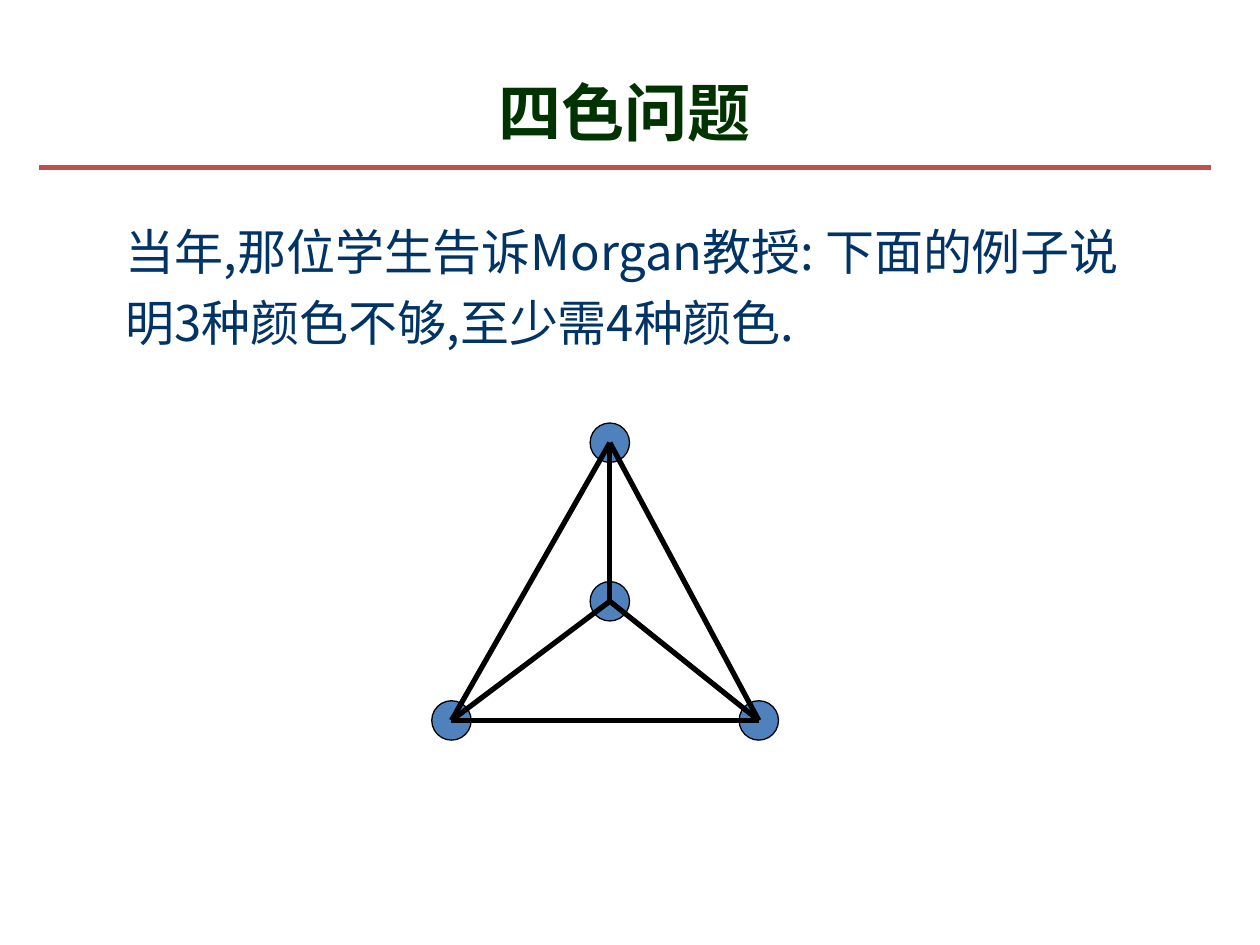
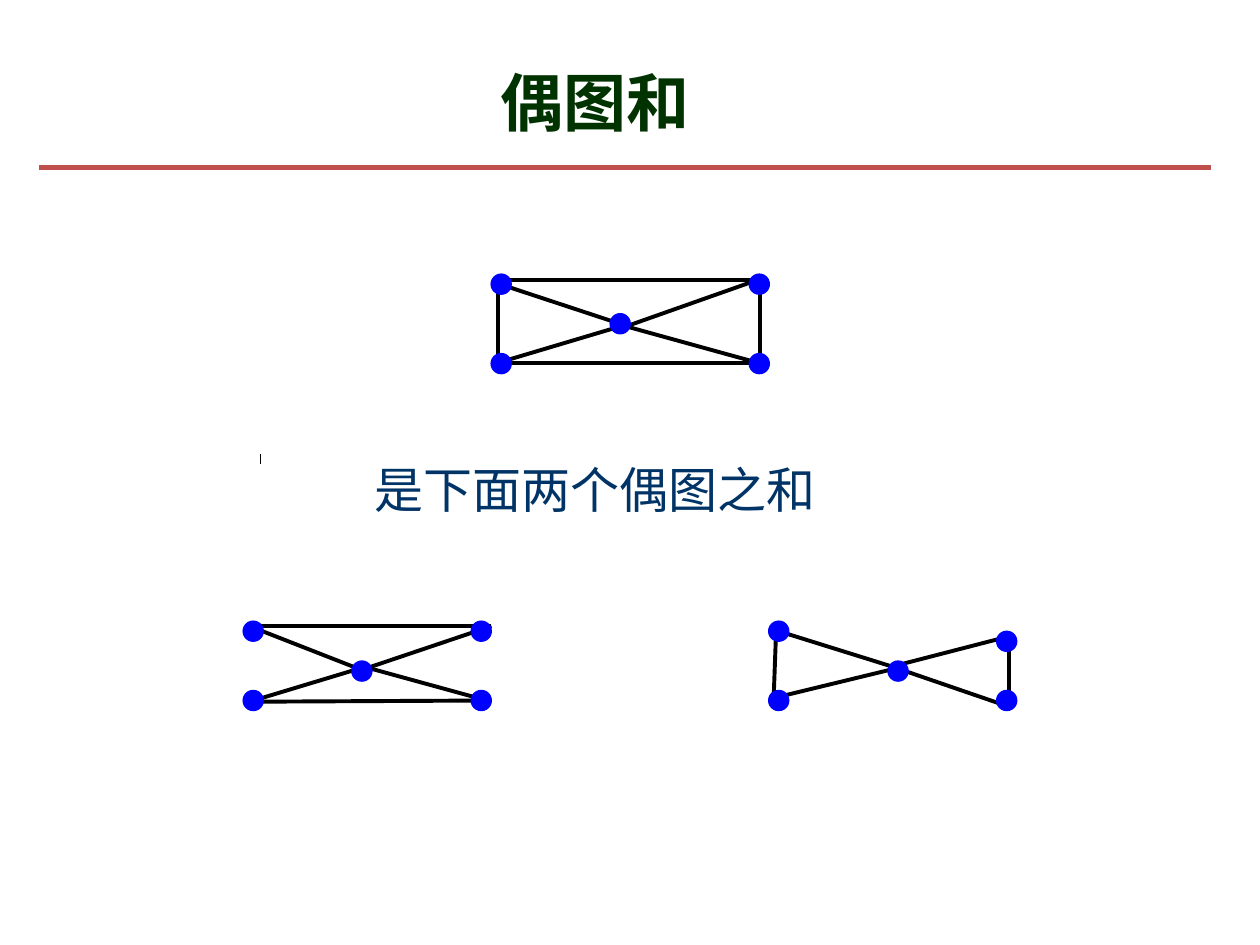
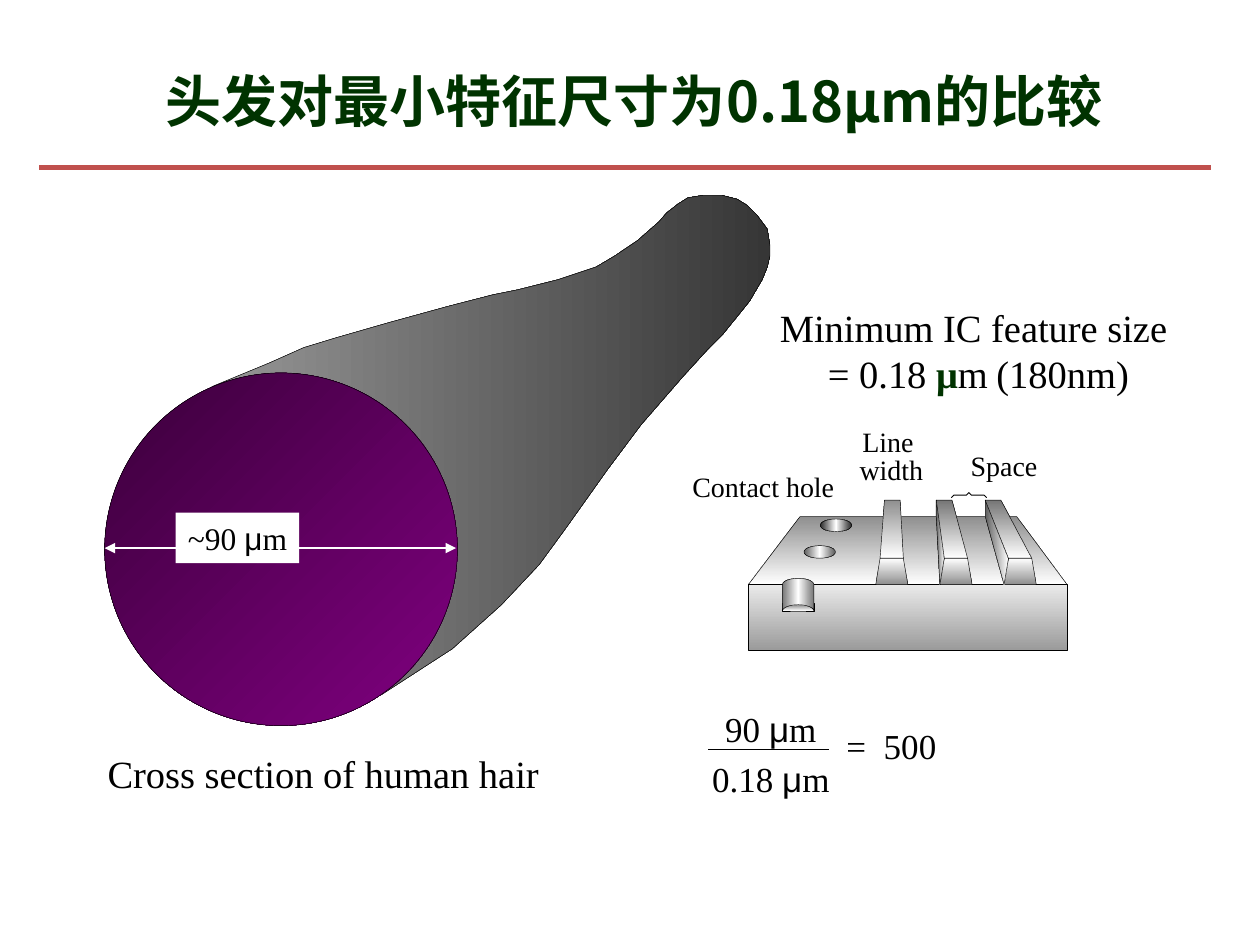
"""Build three slides: a four-colour graph, a sum of bipartite graphs, a hair next to chip features."""
import itertools
import math

import lxml.etree
import pptx
import pptx.dml.color
import pptx.enum.shapes
import pptx.enum.text
import pptx.oxml.ns
import pptx.util

Pt = pptx.util.Pt
qn = pptx.oxml.ns.qn
ALIGN = pptx.enum.text.PP_ALIGN
ANCHOR = pptx.enum.text.MSO_ANCHOR
SHAPE = pptx.enum.shapes.MSO_SHAPE

INK = {
    "title": "003300", "body": "003366", "rule": "C0504D", "black": "000000",
    "white": "FFFFFF", "node": "4F81BD", "dot": "0000FF",
    "pale": "EAEAEA", "ash": "9B9B9B", "light": "969696", "coal": "363636",
    "grey": "8F8F8F", "mid": "767676", "dark": "5C5C5C", "deep": "282828",
    "plum": "3B003B", "purple": "800080",
}
CJK, TIMES, ARIAL = "Noto Sans CJK SC", "Times New Roman", "Arial"
DOWN, SLANT, ACROSS = 90, 45, 0

HAIR = [
    (121, 221), (154, 207.4), (173.5, 198.7), (192.2, 193), (222.5, 184.3),
    (256.3, 175), (281.5, 168.5), (296, 165.6), (319, 159.8), (340.6, 152.6),
    (351.4, 146.2), (364.3, 137.5), (376.6, 126.7), (380.9, 121.7),
    (387.4, 116.6), (393.1, 113), (401.8, 111.6), (412.6, 111.6),
    (421.2, 113.8), (427, 117.4), (432.7, 123.1), (438.5, 131), (440, 140.4),
    (440, 146.2), (438.5, 152.6), (435.6, 159.8), (428.4, 172.1),
    (413.3, 190.8), (404, 200.2), (390.2, 215.3), (366.5, 242.6),
    (347, 268.6), (324, 301), (308.2, 322.6), (286.6, 345.6),
    (258.5, 370.8), (217.4, 397.4),
]
BRACE = [(543.6, 284.4), (545, 283), (552.2, 283), (553.7, 281.5),
         (555.1, 283), (562.3, 283), (563.8, 284.4)]


def paint(name):
    """Return the named colour."""
    return pptx.dml.color.RGBColor.from_string(INK[name])


def shade(shape, tones, angle):
    """Fill a shape with evenly spaced gradient tones."""
    shape.fill.gradient()
    shape.fill.gradient_angle = -angle % 360
    stops = shape._element.spPr.find(".//" + qn("a:gsLst"))
    for stop in list(stops):
        stops.remove(stop)
    for i, tone in enumerate(tones):
        share = round(100000 * i / (len(tones) - 1))
        stop = lxml.etree.SubElement(stops, qn("a:gs"), pos=str(share))
        lxml.etree.SubElement(stop, qn("a:srgbClr"), val=INK[tone])


def style(shape, fill=None, edge="black", width=0.25, angle=DOWN):
    """Set fill (one colour, a list of tones, or none) and outline."""
    shape.shadow.inherit = False
    if fill is None:
        shape.fill.background()
    elif isinstance(fill, str):
        shape.fill.solid()
        shape.fill.fore_color.rgb = paint(fill)
    else:
        shade(shape, fill, angle)
    if edge is None:
        shape.line.fill.background()
    else:
        shape.line.color.rgb = paint(edge)
        shape.line.width = Pt(width)


def draw(slide, kind, box, **look):
    """Add a preset shape."""
    shape = slide.shapes.add_shape(kind, *map(Pt, box))
    style(shape, **look)
    return shape


def trace(slide, points, close=True, **look):
    """Add an outline through the points."""
    spots = [(Pt(x), Pt(y)) for x, y in points]
    pen = slide.shapes.build_freeform(*spots[0])
    pen.add_line_segments(spots[1:], close=close)
    style(pen.convert_to_shape(), **look)


def line(slide, ends, width, tone="black", arrows=False):
    """Add a straight line, with arrowheads at both ends if asked."""
    kind = pptx.enum.shapes.MSO_CONNECTOR.STRAIGHT
    link = slide.shapes.add_connector(kind, *map(Pt, ends))
    link.line.color.rgb = paint(tone)
    link.line.width = Pt(width)
    props = link._element.spPr
    if arrows:
        for tag in ("a:headEnd", "a:tailEnd"):
            lxml.etree.SubElement(props.find(qn("a:ln")), qn(tag), type="triangle")
    lxml.etree.SubElement(props, qn("a:effectLst"))


def write(shape, rows, align=ALIGN.LEFT, wrap=False, anchor=ANCHOR.TOP,
          space=None, after=None):
    """Put rows of (text, size, font, colour, bold) runs into a shape."""
    frame = shape.text_frame
    frame.word_wrap = wrap
    frame.vertical_anchor = anchor
    for i, row in enumerate(rows):
        para = frame.add_paragraph() if i else frame.paragraphs[0]
        para.alignment = align
        if space:
            para.line_spacing = space
        if after:
            para.space_after = Pt(after)
        for words, size, font, tone, bold in row:
            run = para.add_run()
            run.text = words
            run.font.size = Pt(size)
            run.font.name = font
            run.font.bold = bold
            run.font.color.rgb = paint(tone)
            lxml.etree.SubElement(run._r.rPr, qn("a:ea"), typeface=CJK)


def label(slide, box, rows, **look):
    """Add a text box."""
    shape = slide.shapes.add_textbox(*map(Pt, box))
    write(shape, rows, **look)
    return shape


def plain(words, size, font=TIMES, tone="black", bold=False):
    """Describe one run."""
    return words, size, font, tone, bold


def micron(count, size):
    """Describe the runs of a length in microns."""
    return [plain(count + " ", size), plain("μ", size, ARIAL), plain("m", size)]


def start(deck, title, box, size, font):
    """Add a slide with its rule and title."""
    slide = deck.slides.add_slide(deck.slide_layouts[6])
    line(slide, (22.5, 95.8, 692, 95.8), 3, "rule")
    label(slide, box, [[plain(title, size, font, "title", True)]],
          align=ALIGN.CENTER, wrap=True, anchor=ANCHOR.MIDDLE)
    return slide


def dots(slide, spots, size, fill, edge):
    """Add round nodes centred on the spots."""
    for x, y in spots:
        draw(slide, SHAPE.OVAL, (x - size / 2, y - size / 2, size, size),
             fill=fill, edge=edge, width=0.75)


def graph(slide, edges, spots):
    """Add edges with small blue nodes on top."""
    for ends in edges:
        line(slide, ends, 2.25)
    dots(slide, spots, 11.5, "dot", "dot")


def ridge(slide, left, back, top, side=True):
    """Add one raised line of the chip, running to the back."""
    near, far, base, rim = 319, 285.8, 334.1, 295.2
    inner, outer = left + 2.5, left + 15.8
    trace(slide, [(left, base), (inner, near), (outer, near), (left + 18.4, base)],
          fill=["white", "grey"])
    if side:
        trace(slide, [(left, base), (back, rim), (back, far), (inner, near)],
              fill=["dark", "white"], angle=ACROSS)
    trace(slide, [(back, far), (back + 9, far), (outer, near), (inner, near)],
          fill=[top, "white"])


def arch(mid, base, wide, high):
    """Return the points of a half ellipse from left to right."""
    turns = [math.pi * i / 12 for i in range(13)]
    return [(mid - wide * math.cos(t), base - high * math.sin(t)) for t in turns]


def chip(slide):
    """Add the chip block with its holes and ridges."""
    trace(slide, [(457.2, 295.2), (581, 295.2), (609.8, 334.1), (427.7, 334.1)],
          fill=["grey", "white"])
    draw(slide, SHAPE.RECTANGLE, (427.7, 334.1, 182.1, 37.4), fill=["pale", "ash"])
    ridge(slide, 500.4, 505.4, "grey", side=False)
    ridge(slide, 537.1, 535, "mid")
    ridge(slide, 573.8, 563, "mid")
    for x, y, tone in ((468.7, 296.6, "deep"), (459.4, 311.8, "dark")):
        draw(slide, SHAPE.OVAL, (x, y, 18, 7.2),
             fill=[tone, "white", tone], angle=ACROSS)
    draw(slide, SHAPE.RECTANGLE, (447.1, 344.9, 18, 4.3), fill=["mid", "white"])
    trace(slide, arch(456.1, 334.1, 9, 3.6) + arch(456.1, 349.2, 9, 3.6)[::-1],
          fill=["mid", "white", "mid"], angle=ACROSS)
    trace(slide, BRACE, close=False, width=0.5)


def colours(deck):
    """Build the four-colour slide."""
    slide = start(deck, "四色问题", (36.7, 25.9, 640.8, 74.9), 36, "Calibri")
    words = "当年,那位学生告诉Morgan教授: 下面的例子说明3种颜色不够,至少需4种颜色."
    label(slide, (64.8, 116.6, 601.2, 329.8), [[plain(words, 28, CJK, "body")]],
          wrap=True, space=1.2)
    spots = [(348.5, 253), (348.5, 343.6), (258, 411.7), (433.6, 411.7)]
    dots(slide, spots, 22.5, "node", "black")
    for one, two in itertools.combinations(spots, 2):
        line(slide, one + two, 3)


def sums(deck):
    """Build the bipartite sum slide."""
    slide = start(deck, "偶图和", (76.3, 25.9, 527, 64.1), 36, TIMES)
    line(slide, (149, 265, 149, 259.2), 0.75)
    graph(slide,
          [(286.6, 162.7, 354.2, 185), (357.8, 186.5, 433.4, 159.8),
           (352.1, 187.2, 284.4, 207.4), (357.8, 186.5, 433.4, 207.4),
           (284.4, 207.4, 433.4, 207.4), (284.4, 159.8, 433.4, 159.8),
           (284.4, 159.8, 284.4, 207.4), (434.2, 159.1, 434.2, 206.6)],
          [*itertools.product((286.4, 433.9), (162.4, 207.8)), (354.4, 185)])
    graph(slide,
          [(142.6, 357.8, 205.2, 382.3), (210.2, 381.6, 280.8, 357.8),
           (204.5, 382.3, 142.6, 401), (210.2, 381.6, 280.8, 401),
           (142.6, 401, 280.8, 400.3), (142.6, 357.8, 280.8, 357.8)],
          [*itertools.product((144.7, 275), (360.7, 400.3)), (206.8, 383.5)])
    graph(slide,
          [(445, 360.7, 509.8, 380.9), (507.6, 383, 442.1, 398.9),
           (443.5, 360.7, 442.1, 398.9), (576.7, 363.6, 509.8, 380.9),
           (509.8, 380.9, 576.7, 403.9), (576.7, 363.6, 576.7, 403.9)],
          [(445, 360.7), (445, 400.3), (575.3, 366.5), (575.3, 400.3),
           (513.2, 383.5)])
    label(slide, (207, 259, 280, 41),
          [[plain("是下面两个偶图之和", 28, "Comic Neue", "body")]])


def hair(deck):
    """Build the hair and chip slide."""
    slide = start(deck, "头发对最小特征尺寸为0.18μm的比较",
                  (25.2, 31.7, 674.6, 51.1), 32, CJK)
    mid = ALIGN.CENTER
    trace(slide, HAIR, fill=["light", "coal"], angle=ACROSS)
    draw(slide, SHAPE.OVAL, (59.8, 213.1, 201.6, 201.6),
         fill=["plum", "purple"], angle=SLANT)
    line(slide, (59.8, 313.2, 260.6, 313.2), 0.75, "white", arrows=True)
    chip(slide)
    label(slide, (373.8, 264.6, 110, 26.6), [[plain("Contact hole", 16)]],
          align=ALIGN.RIGHT)
    label(slide, (473.2, 241.9, 68.4, 40.3),
          [[plain("Line", 16)], [plain(" width", 16)]],
          align=mid, wrap=True, space=0.85)
    label(slide, (547.6, 253, 60, 26.6), [[plain("Space", 16)]])
    tag = draw(slide, SHAPE.RECTANGLE, (100.4, 293, 70.6, 28.8),
               fill="white", edge=None)
    write(tag, [micron("~90", 18)], align=mid)
    label(slide, (433.5, 170.2, 251.2, 60.5),
          [[plain("Minimum IC feature size ", 22)],
           [plain("= 0.18 ", 22), plain("μ", 22, TIMES, "title", True),
            plain("m", 22), plain(" ", 18, ARIAL), plain("(180nm)", 22)]],
          align=mid)
    label(slide, (394.8, 400.5, 91.4, 60.5),
          [micron("90", 20), micron("0.18", 20)], align=mid, after=5)
    line(slide, (404.6, 428.4, 473.8, 428.4), 0.75)
    ratio = label(slide, (476.6, 410.4, 85, 31.7),
                  [[plain("=", 20), plain(" ", 20), plain("500", 20)]])
    ratio.text_frame.paragraphs[0].runs[1]._r.rPr.set("spc", "500")
    label(slide, (49.4, 424.8, 270.6, 33.8),
          [[plain("Cross section of human hair", 22)]], align=mid)


def main():
    """Build and save the deck."""
    deck = pptx.Presentation()
    deck.slide_width, deck.slide_height = Pt(720), Pt(540)
    colours(deck)
    sums(deck)
    hair(deck)
    deck.save("out.pptx")


if __name__ == "__main__":
    main()
